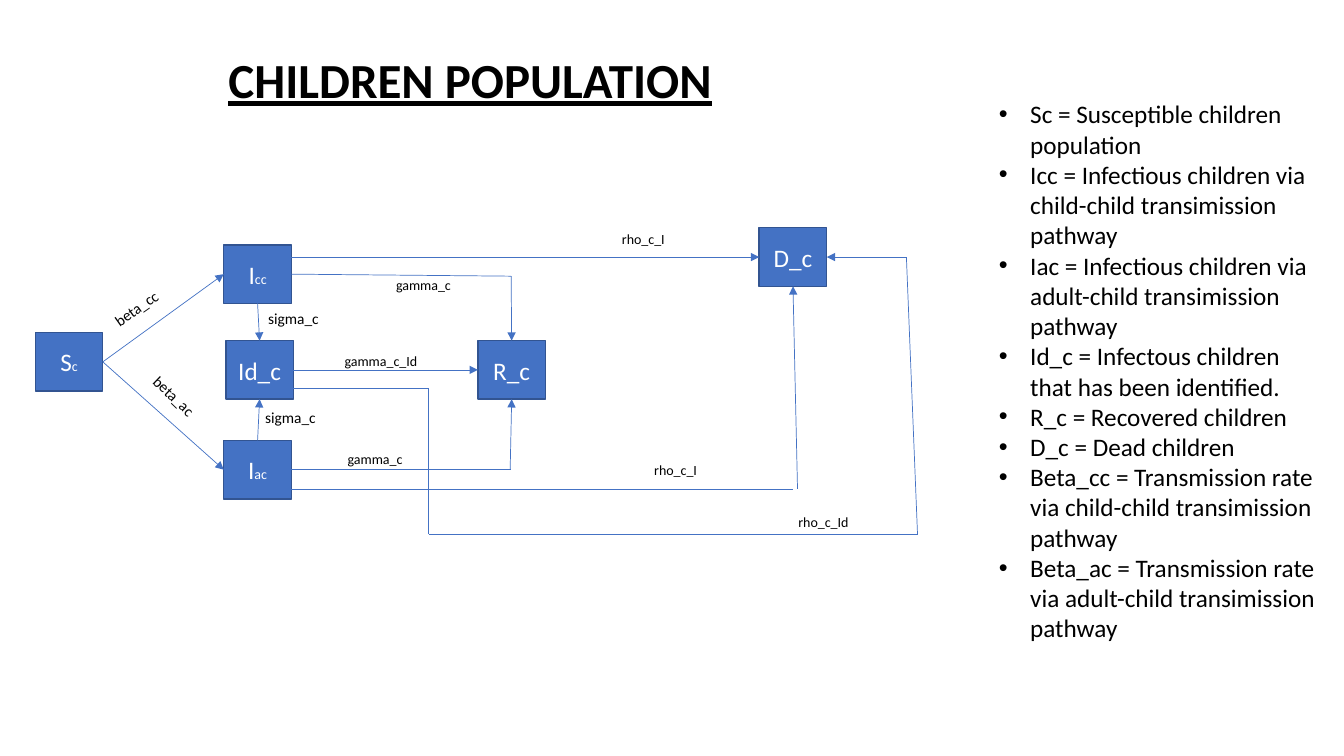
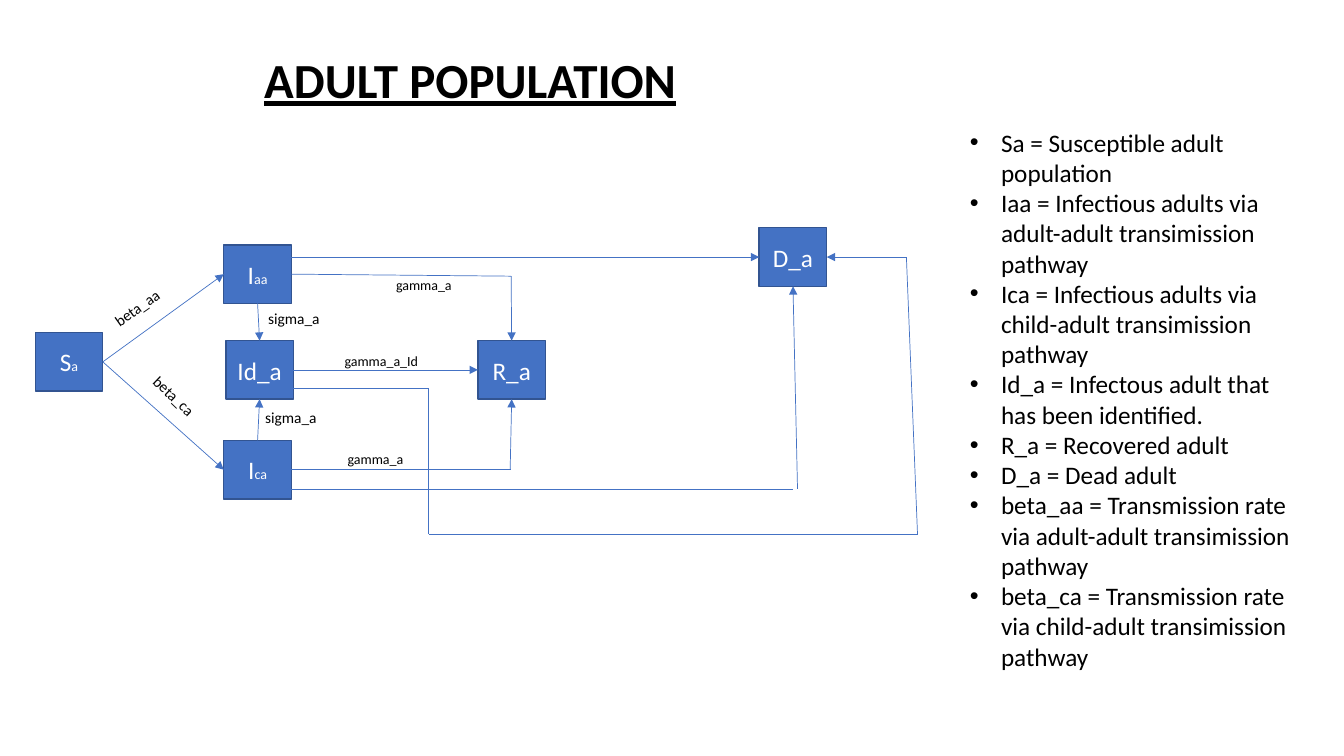
"""Build the children and adult compartment diagrams."""
from dataclasses import dataclass
from typing import NamedTuple, Union

from lxml import etree
from pptx import Presentation
from pptx.dml.color import RGBColor
from pptx.enum.shapes import MSO_CONNECTOR, MSO_SHAPE
from pptx.enum.text import MSO_ANCHOR, MSO_AUTO_SIZE, PP_ALIGN
from pptx.oxml.ns import qn
from pptx.util import Emu, Pt

PX = 9144
RECT = MSO_SHAPE.RECTANGLE
STRAIGHT = MSO_CONNECTOR.STRAIGHT
MIDDLE = MSO_ANCHOR.MIDDLE
GROW = MSO_AUTO_SIZE.SHAPE_TO_FIT_TEXT
LEFT, CENTER = PP_ALIGN.LEFT, PP_ALIGN.CENTER

BLUE, EDGE, BLACK, WHITE = "4472C4", "325491", "000000", "FFFFFF"
NODE_W, NODE_H = 67, 58
INDENT = 31
TITLE_BOX = (23, 44, 887, 69)

TITLE = {"size": Pt(35), "bold": True, "underline": True}
BODY = {"size": Pt(18)}
SUBSCRIPT = {"size": Pt(10)}
RATE = {"size": Pt(11)}
SMALL_RATE = {"size": Pt(10)}

TOP, WEST, BOTTOM, EAST = range(4)


class Node(NamedTuple):
    key: str
    x: int
    y: int
    text: str
    sub: str = ""


class Point(NamedTuple):
    x: int
    y: int


class Side(NamedTuple):
    key: str
    index: int


End = Union[Point, Side]


class Link(NamedTuple):
    start: End
    end: End
    arrow: bool = False


class Label(NamedTuple):
    text: str
    box: tuple[int, int, int, int]
    fmt: dict
    angle: float = 0


@dataclass
class Population:
    title: str
    own: str
    other: str
    legend_box: tuple[int, int, int, int]
    legend: list[str]
    death_labels: tuple[Label, ...] = ()


NODES = [
    Node("S", 35, 330, "S", "{own}"),
    Node("I_own", 222, 243, "I", "{own}{own}"),
    Node("D", 753, 226, "D_{own}"),
    Node("R", 474, 338, "R_{own}"),
    Node("I_other", 222, 437, "I", "{other}{own}"),
    Node("Id", 224, 338, "Id_{own}"),
]
NODE_AT = {n.key: n for n in NODES}

LINKS = [
    Link(Side("S", EAST), Side("I_own", WEST), True),
    Link(Side("S", EAST), Side("I_other", WEST), True),
    Link(Point(506, 451), Point(507, 451)),
    Link(Side("I_own", EAST), Point(507, 274)),
    Link(Point(507, 274), Side("R", TOP), True),
    Link(Side("I_other", EAST), Point(507, 466)),
    Link(Point(506, 466), Side("R", BOTTOM), True),
    Link(Side("Id", EAST), Side("R", WEST), True),
    Link(Point(289, 255), Side("D", WEST), True),
    Link(Point(289, 485), Point(787, 485)),
    Link(Point(791, 485), Side("D", BOTTOM), True),
    Link(Point(291, 385), Point(425, 385)),
    Link(Point(425, 385), Point(425, 530)),
    Link(Point(425, 530), Point(910, 530)),
    Link(Point(910, 530), Point(899, 255)),
    Link(Point(899, 255), Side("D", EAST), True),
    Link(Side("I_own", BOTTOM), Side("Id", TOP), True),
    Link(Side("I_other", TOP), Side("Id", BOTTOM), True),
]

LABELS = (
    Label("beta_{own}{own}", (101, 291, 71, 29), RATE, 324.8),
    Label("beta_{other}{own}", (137, 381, 76, 29), RATE, 43.7),
    Label("sigma_{own}", (253, 400, 91, 29), RATE),
    Label("sigma_{own}", (256, 302, 91, 29), RATE),
    Label("gamma_{own}", (383, 269, 81, 27), SMALL_RATE),
    Label("gamma_{own}", (335, 442, 76, 27), SMALL_RATE),
    Label("gamma_{own}_Id", (332, 345, 93, 27), SMALL_RATE),
)
DEATH_LABELS = (
    Label("rho_{own}_I", (607, 224, 63, 27), SMALL_RATE),
    Label("rho_{own}_I", (639, 453, 63, 27), SMALL_RATE),
    Label("rho_{own}_Id", (782, 505, 80, 27), SMALL_RATE),
)

POPULATIONS = [
    Population("CHILDREN POPULATION", "c", "a", (981, 93, 336, 586), [
        "Sc = Susceptible children population",
        "Icc = Infectious children via child-child transimission pathway",
        "Iac = Infectious children via adult-child transimission pathway",
        "Id_c = Infectous children that has been identified.",
        "R_c = Recovered children",
        "D_c = Dead children",
        "Beta_cc = Transmission rate via child-child transimission pathway",
        "Beta_ac = Transmission rate via adult-child transimission pathway",
    ], DEATH_LABELS),
    Population("ADULT POPULATION", "a", "c", (952, 121, 342, 586), [
        "Sa = Susceptible adult population",
        "Iaa = Infectious adults via adult-adult transimission pathway",
        "Ica = Infectious adults via child-adult transimission pathway",
        "Id_a = Infectous adult that has been identified.",
        "R_a = Recovered adult",
        "D_a = Dead adult",
        "beta_aa = Transmission rate via adult-adult transimission pathway",
        "beta_ca = Transmission rate via child-adult transimission pathway",
    ]),
]


def px(*values: int) -> list[Emu]:
    return [Emu(round(v * PX)) for v in values]


def color(value: str) -> RGBColor:
    return RGBColor.from_string(value)


def add_run(p, text: str, fmt: dict, fill: str = BLACK) -> None:
    r = p.add_run()
    r.text = text
    for name, value in {"name": "Calibri", **fmt}.items():
        setattr(r.font, name, value)
    r.font.color.rgb = color(fill)


def add_bullet(p) -> None:
    pPr = p._p.get_or_add_pPr()
    pPr.set("marL", str(INDENT * PX))
    pPr.set("indent", str(-INDENT * PX))
    etree.SubElement(pPr, qn("a:buFont")).set("typeface", "Arial")
    etree.SubElement(pPr, qn("a:buChar")).set("char", "•")


def add_text(s, box: tuple[int, int, int, int], lines: list[str], fmt: dict,
             align=LEFT, angle: float = 0, bullets: bool = False) -> None:
    sp = s.shapes.add_textbox(*px(*box))
    sp.rotation = angle
    tf = sp.text_frame
    tf.word_wrap = True
    tf.auto_size = GROW
    for i, line in enumerate(lines):
        p = tf.add_paragraph() if i else tf.paragraphs[0]
        p.alignment = align
        if bullets:
            add_bullet(p)
        add_run(p, line, fmt)


def add_node(s, node: Node, letters: dict[str, str]):
    sp = s.shapes.add_shape(RECT, *px(node.x, node.y, NODE_W, NODE_H))
    sp.shadow.inherit = False
    sp.fill.solid()
    sp.fill.fore_color.rgb = color(BLUE)
    sp.line.color.rgb = color(EDGE)
    sp.line.width = Pt(1)
    tf = sp.text_frame
    tf.word_wrap = True
    tf.vertical_anchor = MIDDLE
    p = tf.paragraphs[0]
    p.alignment = CENTER
    add_run(p, node.text.format(**letters), BODY, WHITE)
    if node.sub:
        add_run(p, node.sub.format(**letters), SUBSCRIPT, WHITE)
    return sp


def locate(end: End) -> list[Emu]:
    if isinstance(end, Point):
        return px(*end)
    node = NODE_AT[end.key]
    dx, dy = ((0.5, 0), (0, 0.5), (0.5, 1), (1, 0.5))[end.index]
    return px(node.x + dx * NODE_W, node.y + dy * NODE_H)


def add_link(s, link: Link, shapes: dict) -> None:
    sp = s.shapes.add_connector(STRAIGHT, *locate(link.start), *locate(link.end))
    for end, connect in ((link.start, sp.begin_connect), (link.end, sp.end_connect)):
        if isinstance(end, Side):
            connect(shapes[end.key], end.index)
    sp.line.color.rgb = color(BLUE)
    sp.line.width = Pt(0.5)
    if link.arrow:
        etree.SubElement(sp.line._get_or_add_ln(), qn("a:tailEnd")).set("type", "triangle")
    etree.SubElement(sp._element.spPr, qn("a:effectLst"))


def add_population(prs, pop: Population) -> None:
    s = prs.slides.add_slide(prs.slide_layouts[6])
    letters = {"own": pop.own, "other": pop.other}
    shapes = {node.key: add_node(s, node, letters) for node in NODES}
    for link in LINKS:
        add_link(s, link, shapes)
    for label in LABELS + pop.death_labels:
        add_text(s, label.box, [label.text.format(**letters)], label.fmt, angle=label.angle)
    add_text(s, TITLE_BOX, [pop.title], TITLE, CENTER)
    add_text(s, pop.legend_box, pop.legend, BODY, bullets=True)


def main() -> None:
    prs = Presentation()
    prs.slide_width, prs.slide_height = px(1333, 750)
    for pop in POPULATIONS:
        add_population(prs, pop)
    prs.save("out.pptx")


if __name__ == "__main__":
    main()
